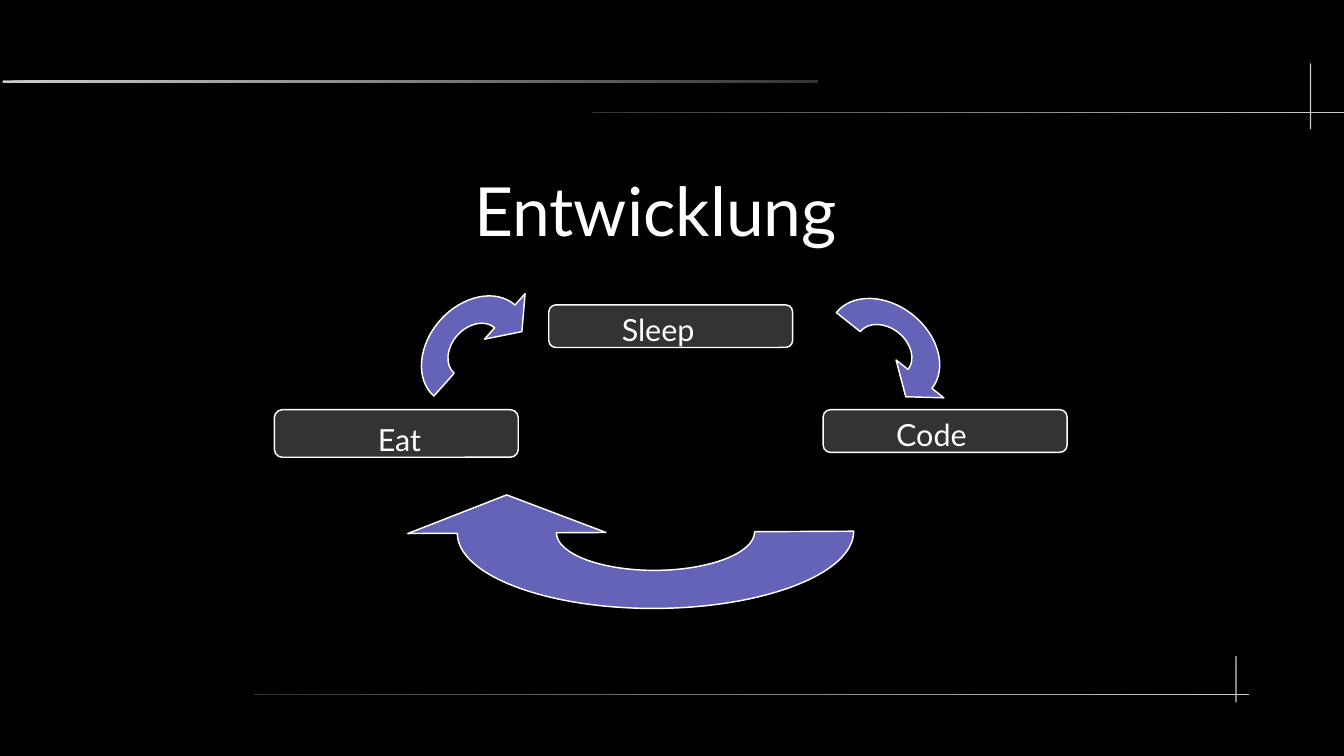
from lxml import etree
from pptx import Presentation
from pptx.dml.color import RGBColor
from pptx.enum.shapes import MSO_SHAPE
from pptx.enum.text import MSO_ANCHOR, PP_ALIGN
from pptx.oxml.ns import qn
from pptx.util import Pt

PX = 9144  # 100 px to the inch
WHITE, SILVER, GREY, BLACK, VIOLET = "FFFFFF", "CCCCCC", "333333", "000000", "6563B7"
BEND = 0.55  # handle length of a quarter ellipse


def emu(*sizes):
    return [round(size * PX) for size in sizes]


def color(code):
    return RGBColor.from_string(code)


def paint(shape, fill, line=None):
    shape.shadow.inherit = False
    shape.fill.solid()
    shape.fill.fore_color.rgb = color(fill)
    if line:
        shape.line.color.rgb = color(line)
        shape.line.width = Pt(0.85)
    else:
        shape.line.fill.background()


def write(shape, text, size=18, align=PP_ALIGN.LEFT, anchor=MSO_ANCHOR.TOP, pad=(10, 5)):
    frame = shape.text_frame
    frame.word_wrap = True
    frame.vertical_anchor = anchor
    side, edge = emu(*pad)
    frame.margin_left = frame.margin_right = side
    frame.margin_top = frame.margin_bottom = edge
    para = frame.paragraphs[0]
    para.text = text
    para.alignment = align
    run = para.runs[0]
    run.font.name, run.font.size = "Lato", Pt(size)
    run.font.color.rgb = color(WHITE)
    run._r.get_or_add_rPr().set("kern", "0")


def stripe(slide, x, y, w, h, start=SILVER, end=SILVER):
    shape = slide.shapes.add_shape(MSO_SHAPE.ROUNDED_RECTANGLE, *emu(x, y, w, h))
    shape.adjustments[0] = 0.5
    paint(shape, SILVER)
    if start != end:
        shape.fill.gradient()
        shape.fill.gradient_angle = 0
        for stop, place, code in zip(shape.fill.gradient_stops, (0, 1), (start, end)):
            stop.position = place
            stop.color.rgb = color(code)


def box(slide, x, y, h):
    shape = slide.shapes.add_shape(MSO_SHAPE.ROUNDED_RECTANGLE, *emu(x, y, 200, h))
    paint(shape, GREY, WHITE)


def label(slide, text, x, y, w):
    write(slide.shapes.add_textbox(*emu(x, y, w, 40)), text)


def curve(lines):
    """Turn three line segments into one cubic curve."""
    bend = etree.Element(qn("a:cubicBezTo"))
    lines[0].addprevious(bend)
    for line in lines:
        bend.append(line[0])
        line.getparent().remove(line)


def arrow(slide, x, y, w, h, turn):
    """Draw a half ring with a head at its right end, turned about its centre."""
    arc = [(-1, 0), (-1, -BEND), (-BEND, -1), (0, -1), (BEND, -1), (1, -BEND), (1, 0)]
    inner = [(across / 2, down / 2) for across, down in reversed(arc)]
    head = [(1.25, 0), (0.75, 0.5), (0.25, 0)]
    points = [emu(x + (1 + across) * w / 2, y + (1 + down) * h / 2)
              for across, down in arc + head + inner]
    build = slide.shapes.build_freeform(*points[0], scale=1.0)
    build.add_line_segments(points[1:], close=True)
    shape = build.convert_to_shape()

    # Round the two arcs
    outline = next(shape._element.iter(qn("a:path")))
    lines = outline.findall(qn("a:lnTo"))
    for first in (0, 3, 10, 13):
        curve(lines[first:first + 3])

    # Frame the whole ring, so that it turns about the ring's centre
    shape.width, shape.height = emu(w, h)
    outline.set("w", str(shape.width))
    outline.set("h", str(shape.height))
    shape.rotation = turn
    paint(shape, VIOLET, WHITE)


def main():
    deck = Presentation()
    deck.slide_width, deck.slide_height = emu(1102, 620)
    slide = deck.slides.add_slide(deck.slide_layouts[5])
    slide.background.fill.solid()
    slide.background.fill.fore_color.rgb = color(BLACK)

    # Title
    title = slide.shapes.title
    title.left, title.top, title.width, title.height = emu(16, 7, 1043, 329)
    write(title, "Entwicklung", size=40, align=PP_ALIGN.CENTER,
          anchor=MSO_ANCHOR.MIDDLE, pad=(0, 0))

    # Frame lines
    stripe(slide, 2, 66, 669, 2, SILVER, GREY)
    stripe(slide, 485, 92, 621, 1, GREY, SILVER)
    stripe(slide, 1074, 52, 1, 54)
    stripe(slide, 208, 569, 816, 1, GREY, SILVER)
    stripe(slide, 1013, 538, 1, 38)

    # Stations of the cycle
    for x, y, h in ((450, 250, 35), (675, 336, 35), (225, 336, 39)):
        box(slide, x, y, h)
    label(slide, "Eat", 300, 340, 150)
    label(slide, "Sleep", 500, 250, 125)
    label(slide, "Code", 725, 336, 125)

    # Arrows between the stations
    arrow(slide, 675, 250, 100, 75, 38.4)
    arrow(slide, 375, 374, 325, 125, 179.7)
    arrow(slide, 339, 250, 100, 75, 311.7)

    deck.save("out.pptx")


if __name__ == "__main__":
    main()
